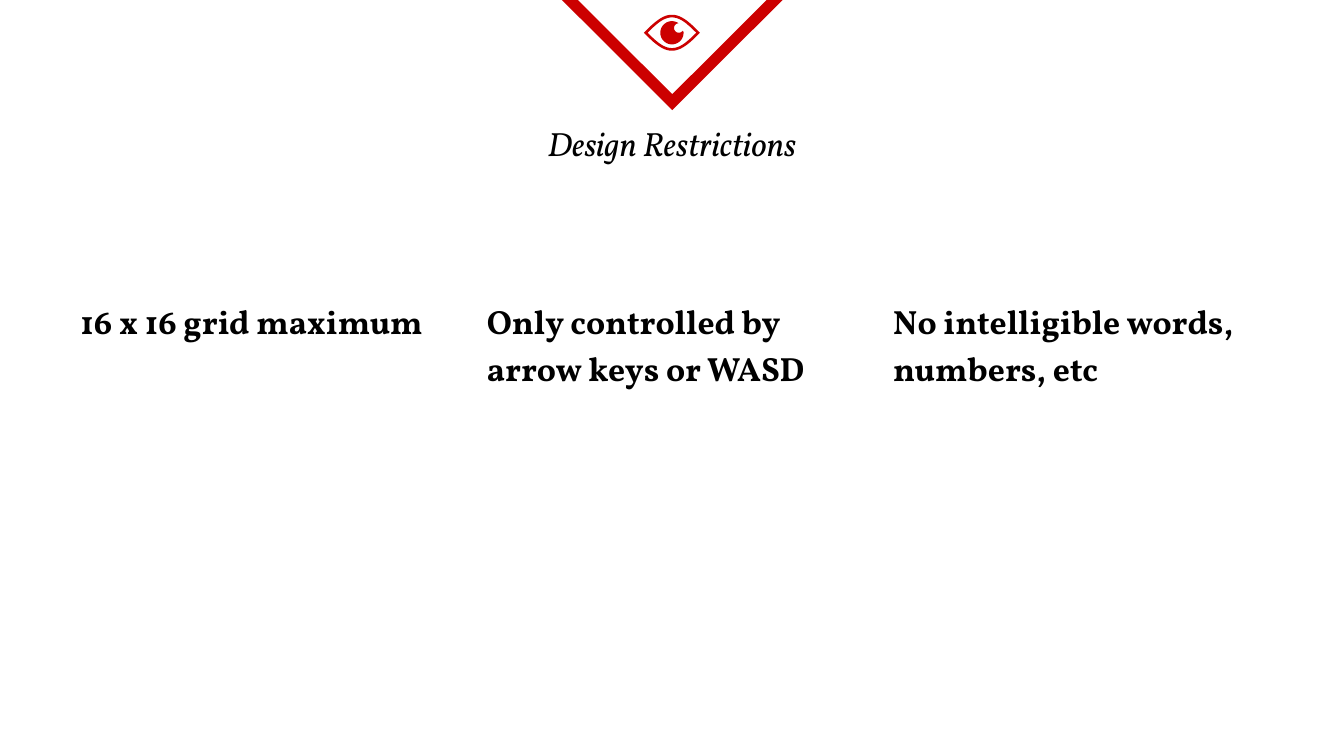
from dataclasses import dataclass
from math import cos, sin, pi, radians

from lxml.etree import SubElement
from pptx import Presentation as Deck
from pptx.dml.color import RGBColor as Color
from pptx.enum.shapes import MSO_SHAPE as Kind
from pptx.enum.text import MSO_ANCHOR as Anchor, MSO_AUTO_SIZE as Fit, PP_ALIGN as Align
from pptx.oxml.ns import qn
from pptx.util import Cm, Pt


@dataclass(frozen=True)
class Theme:
    font: str = "Vollkorn"
    ink: Color = Color(0x00, 0x00, 0x00)
    red: Color = Color(0xCC, 0x00, 0x00)
    size: int = 18
    edge: int = 6
    pad: float = 0.25


def write(frame, text, theme, bold=False, italic=False,
          align=Align.LEFT, space=1.0, before=0):
    """Fill a text frame with one formatted paragraph."""
    frame.word_wrap = True
    frame.auto_size = Fit.NONE
    frame.vertical_anchor = Anchor.TOP
    frame.margin_left = frame.margin_right = Cm(theme.pad)
    frame.margin_top = frame.margin_bottom = Cm(theme.pad)
    para = frame.paragraphs[0]
    para.alignment = align
    para.line_spacing = space
    para.space_before = Pt(before)
    run = para.add_run()
    run.text = text
    font = run.font
    font.name, font.size = theme.font, Pt(theme.size)
    font.bold, font.italic = bold, italic
    font.color.rgb = theme.ink


def arc(x, y, r, start, end, steps=40):
    """Points on a circle from one angle to another, in degrees."""
    turns = [radians(start + (end - start) * i / steps) for i in range(steps + 1)]
    return [(x + r * cos(t), y + r * sin(t)) for t in turns]


def lens(x, y, wide, high, steps=24):
    """Points of an eye outline: two cosine curves that meet at the corners."""
    span = [2 * i / steps - 1 for i in range(steps + 1)]
    top = [(x + wide * s, y - high * cos(s * pi / 2)) for s in span]
    low = [(x + wide * s, y + high * cos(s * pi / 2)) for s in reversed(span)]
    return top + low


class Page:
    def __init__(self, deck, theme):
        self.theme = theme
        self.slide = deck.slides.add_slide(deck.slide_layouts[5])
        self.shapes = self.slide.shapes

    def title(self, text, x, y, w, h):
        box = self.shapes.title
        box.left, box.top, box.width, box.height = Cm(x), Cm(y), Cm(w), Cm(h)
        write(box.text_frame, text, self.theme, italic=True, align=Align.CENTER)

    def text(self, text, x, y, w, h):
        box = self.shapes.add_textbox(Cm(x), Cm(y), Cm(w), Cm(h))
        write(box.text_frame, text, self.theme, bold=True, space=1.15, before=6)

    def flag(self, x, y, w, h):
        shape = self.shapes.add_shape(
            Kind.ISOSCELES_TRIANGLE, Cm(x), Cm(y), Cm(w), Cm(h))
        shape.rotation = 180
        shape.shadow.inherit = False
        shape.fill.background()
        shape.line.color.rgb = self.theme.red
        shape.line.width = Pt(self.theme.edge)
        # Sharp corners
        SubElement(shape.line._get_or_add_ln(), qn("a:miter"), lim="800000")

    def form(self, *loops):
        first, *rest = [[(Cm(x), Cm(y)) for x, y in loop] for loop in loops]
        pen = self.shapes.build_freeform(*first[0])
        pen.add_line_segments(first[1:], close=True)
        for loop in rest:
            pen.move_to(*loop[0])
            pen.add_line_segments(loop[1:], close=True)
        shape = pen.convert_to_shape()
        shape.shadow.inherit = False
        shape.fill.solid()
        shape.fill.fore_color.rgb = self.theme.red
        shape.line.fill.background()

    def eye(self, x, y):
        # Rim: the inner loop runs backwards to leave a hole
        self.form(lens(x, y, 0.53, 0.34), lens(x, y, 0.46, 0.29)[::-1])
        # Iris with a round highlight cut from its edge
        self.form(arc(x, y, 0.22, -6, 304)
                  + arc(x + 0.13, y - 0.09, 0.09, 265, 36))


def main():
    deck = Deck()
    deck.slide_width, deck.slide_height = Cm(25.4), Cm(14.29)
    page = Page(deck, Theme())

    # Emblem at the top edge
    page.flag(10.62, -0.15, 4.17, 2.08)
    page.eye(12.7, 0.62)

    page.title("Design Restrictions", 2.87, 2.08, 19.66, 1.5)

    # Three columns
    rules = ("16 x 16 grid maximum",
             "Only controlled by arrow keys or WASD",
             "No intelligible words, numbers, etc")
    for i, rule in enumerate(rules):
        page.text(rule, 1.27 + i * 7.68, 5.33, 7.32, 3.63)

    deck.save("out.pptx")


if __name__ == "__main__":
    main()
